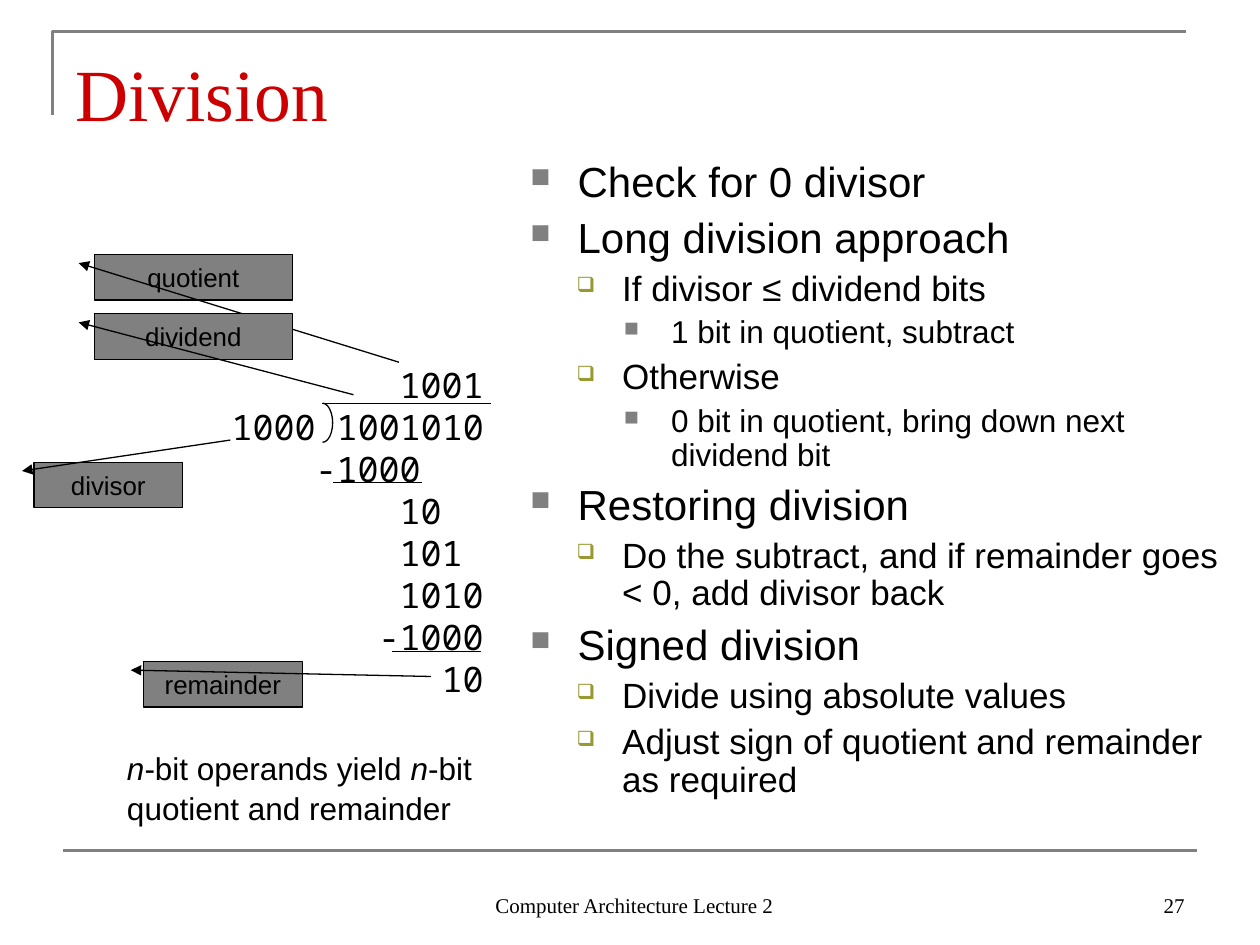
from lxml import etree
from pptx import Presentation
from pptx import util as u
from pptx.dml.color import RGBColor
from pptx.enum import shapes, text
from pptx.oxml.ns import qn

Pt = u.Pt
BLACK, GRAY, RED, OLIVE = "000000", "808080", "CC0000", "999933"
SERIF, SANS, MONO = "Times New Roman", "Arial", "Noto Sans Mono"

# Content: (level, words)
POINTS = [
    (0, "Check for 0 divisor"),
    (0, "Long division approach"),
    (1, "If divisor ≤ dividend bits"),
    (2, "1 bit in quotient, subtract"),
    (1, "Otherwise"),
    (2, "0 bit in quotient, bring down next dividend bit"),
    (0, "Restoring division"),
    (1, "Do the subtract, and if remainder goes < 0, add divisor back"),
    (0, "Signed division"),
    (1, "Divide using absolute values"),
    (1, "Adjust sign of quotient and remainder as required"),
]
LEVELS = [
    dict(size=24, left=27, hang=27, before=6, char="■", color=GRAY, percent=65),
    dict(size=20, left=52.5, hang=26, before=5, char="❑", color=OLIVE, percent=60),
    dict(size=18, left=80.5, hang=27, before=4.5, char="■", color=GRAY, percent=65),
]
# Long division: (first column, digits)
WORKING = [(8, "1001"), (0, "1000 1001010"), (4, "-1000"), (8, "10"),
           (8, "101"), (8, "1010"), (7, "-1000"), (8 + 2, "10")]
COLUMN, ROW = 12, 24
RULES = [(184.3, 280.8, 230.4), (190.1, 241.2, 275.8), (223.9, 275, 372.2)]
# Callouts: (label, left, top, width, pointer end down, pointer end across)
CALLOUTS = [
    ("quotient", 54, 145.4, 113, 2.37, 1.54),
    ("dividend", 54, 179.3, 113, 1.78, 1.31),
    ("remainder", 82, 378, 90.7, 0.33, 1.81),
    ("divisor", 19.4, 264.2, 85, -0.49, 1.32),
]
CAPTION = [[("n", True), ("-bit operands yield ", False), ("n", True), ("-bit", False)],
           [("quotient and remainder", False)]]

presentation = Presentation()
presentation.slide_width, presentation.slide_height = Pt(720), Pt(540)
slide = presentation.slides.add_slide(presentation.slide_layouts[6])


def rgb(value):
    return RGBColor.from_string(value)


def format_font(font, name, size, color=BLACK, **extra):
    for key, value in dict(name=name, size=Pt(size), **extra).items():
        setattr(font, key, value)
    font.color.rgb = rgb(color)


def format_line(shape, width, color):
    shape.line.width = Pt(width)
    shape.line.color.rgb = rgb(color)


def add_text_box(left, top, width, height, **settings):
    box = slide.shapes.add_textbox(*map(Pt, (left, top, width, height)))
    frame = box.text_frame
    for key, value in dict(word_wrap=True, **settings).items():
        setattr(frame, key, value)
    return frame


def next_paragraph(frame, index):
    return frame.add_paragraph() if index else frame.paragraphs[0]


def add_label(words, box, font, align=text.PP_ALIGN.LEFT, **settings):
    frame = add_text_box(*box, vertical_anchor=text.MSO_ANCHOR.BOTTOM, **settings)
    paragraph = frame.paragraphs[0]
    paragraph.text, paragraph.alignment = words, align
    format_font(paragraph.font, *font)


def add_rule(left, right, y, width=0.75, color=BLACK):
    line = slide.shapes.add_connector(
        shapes.MSO_CONNECTOR.STRAIGHT, Pt(left), Pt(y), Pt(right), Pt(y))
    format_line(line, width, color)
    etree.SubElement(line._element.spPr, qn("a:effectLst"))


def set_indent(paragraph, left, hang=0):
    properties = paragraph._p.get_or_add_pPr()
    properties.set("marL", str(Pt(left)))
    properties.set("indent", str(-Pt(hang)))
    return properties


def add_bullet(properties, char, color, percent):
    bullet_color = etree.SubElement(properties, qn("a:buClr"))
    etree.SubElement(bullet_color, qn("a:srgbClr"), val=color)
    etree.SubElement(properties, qn("a:buSzPct"), val=str(percent * 1000))
    etree.SubElement(properties, qn("a:buChar"), char=char)


# Page frame
builder = slide.shapes.build_freeform(Pt(30), Pt(66), scale=1)
builder.add_line_segments([(Pt(30), Pt(18)), (Pt(678), Pt(18))], close=False)
corner = builder.convert_to_shape()
corner.shadow.inherit = False
corner.fill.background()
format_line(corner, 1.5, GRAY)
add_rule(36, 684, 486, 1.5, GRAY)

# Title, footer and page number
add_label("Division", (36, 21.6, 648, 56.2), (SERIF, 42, RED), margin_bottom=0)
add_label("Computer Architecture Lecture 2", (276, 492, 174, 36), (SERIF, 12))
add_label("27", (516, 492, 168, 36), (SERIF, 12), text.PP_ALIGN.RIGHT)

# Bulleted points
frame = add_text_box(296, 88.5, 409.5, 402.5)
for index, (level, words) in enumerate(POINTS):
    style = LEVELS[level]
    paragraph = next_paragraph(frame, index)
    paragraph.text, paragraph.level = words, level
    properties = set_indent(paragraph, style["left"], style["hang"])
    add_bullet(properties, style["char"], style["color"], style["percent"])
    paragraph.line_spacing = 0.9
    paragraph.space_before = Pt(style["before"] if index else 0)
    format_font(paragraph.font, SANS, style["size"])

# Long division, one column per digit
frame = add_text_box(125.3, 204, 162, 199.4)
for index, (column, digits) in enumerate(WORKING):
    paragraph = next_paragraph(frame, index)
    paragraph.text = digits
    set_indent(paragraph, column * COLUMN)
    paragraph.line_spacing = Pt(ROW)
    format_font(paragraph.font, MONO, 20)
for rule in RULES:
    add_rule(*rule)

# Division bracket: right half of an ellipse
bracket = slide.shapes.add_shape(
    shapes.MSO_SHAPE.ARC, Pt(178.5), Pt(230.4), Pt(11.6), Pt(22.4))
bracket.adjustments[0], bracket.adjustments[1] = 162, 54
bracket.shadow.inherit = False
bracket.fill.background()
format_line(bracket, 0.75, BLACK)

# Caption
paragraph = add_text_box(65.5, 423.4, 216, 50.4).paragraphs[0]
paragraph.line_spacing = 1.05
for index, line in enumerate(CAPTION):
    if index:
        paragraph.add_line_break()
    for words, italic in line:
        run = paragraph.add_run()
        run.text = words
        format_font(run.font, SANS, 18, italic=italic)

# Callouts with arrowheads
for label, left, top, width, down, across in CALLOUTS:
    callout = slide.shapes.add_shape(
        shapes.MSO_SHAPE.LINE_CALLOUT_1, Pt(left), Pt(top), Pt(width), Pt(26))
    for index, value in enumerate((0.19, -0.08, down, across)):
        callout.adjustments[index] = value
    callout.shadow.inherit = False
    callout.fill.solid()
    callout.fill.fore_color.rgb = rgb(GRAY)
    format_line(callout, 0.75, BLACK)
    etree.SubElement(callout.line._get_or_add_ln(), qn("a:headEnd"), type="triangle")
    frame = callout.text_frame
    frame.vertical_anchor = text.MSO_ANCHOR.MIDDLE
    paragraph = frame.paragraphs[0]
    paragraph.text, paragraph.alignment = label, text.PP_ALIGN.CENTER
    format_font(paragraph.font, SANS, 14.8)

presentation.save("out.pptx")
